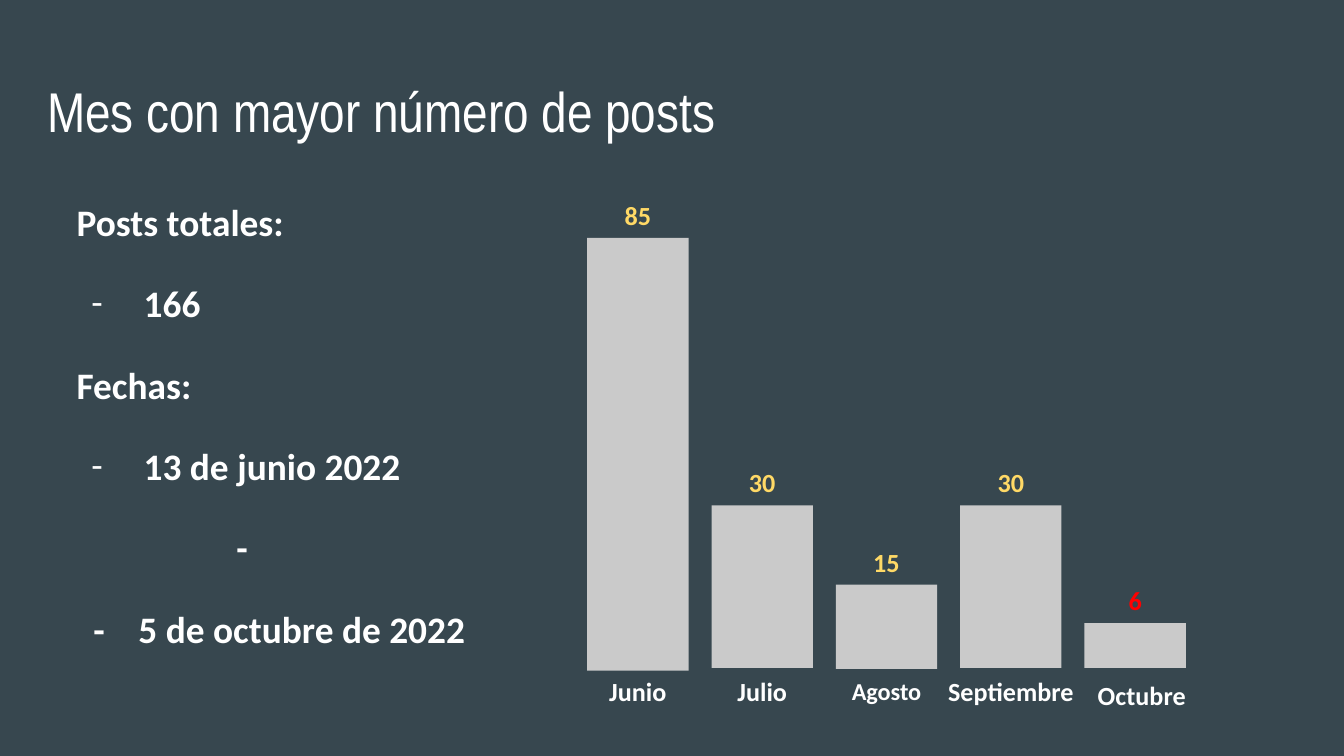
import pptx
import pptx.util
import pptx.dml.color
import pptx.enum.shapes
import pptx.enum.text
import pptx.oxml
import pptx.oxml.ns

Pt = pptx.util.Pt
RGB = pptx.dml.color.RGBColor
ALIGN = pptx.enum.text.PP_ALIGN
ANCHOR = pptx.enum.text.MSO_ANCHOR

SLATE = RGB(0x37, 0x47, 0x4F)
WHITE = RGB(0xFF, 0xFF, 0xFF)
GOLD = RGB(0xFF, 0xD9, 0x66)
RED = RGB(0xFF, 0x00, 0x00)
GRAY = RGB(0xCA, 0xCA, 0xCA)

LEFT, PITCH, WIDTH = 314.6, 66.6, 54.3
BASE, TALL, WIDE = 357.9, 24.5, 87.8

BARS = [
    ("Junio", "85", 127.4, 231.9),
    ("Julio", "30", 270.7, 87.2),
    ("Agosto", "15", 313.2, 45.2),
    ("Septiembre", "30", 270.7, 87.2),
    ("Octubre", "6", 333.8, 24),
]
ITEMS = [
    ("Posts totales:", 0, 0, False),
    ("166", 36, -28, True),
    ("Fechas:", 0, 0, False),
    ("13 de junio 2022", 36, -28, True),
    ("-", 85.6, 0, False),
    ("-\t5 de octubre de 2022", 33.2, -24.1, False),
]


class Deck:
    def __init__(self):
        self.file = pptx.Presentation()
        self.file.slide_width = Pt(720)
        self.file.slide_height = Pt(405)
        self.slide = self.file.slides.add_slide(self.file.slide_layouts[1])
        fill = self.slide.background.fill
        fill.solid()
        fill.fore_color.rgb = SLATE

    def place(self, shape, x, y, w, h, anchor):
        shape.left, shape.top = Pt(x), Pt(y)
        shape.width, shape.height = Pt(w), Pt(h)
        frame = shape.text_frame
        frame.auto_size = pptx.enum.text.MSO_AUTO_SIZE.NONE
        frame.word_wrap = True
        frame.vertical_anchor = anchor
        frame.margin_left = frame.margin_right = Pt(7.2)
        frame.margin_top = frame.margin_bottom = Pt(7.2)
        return frame

    def style(self, para, size, color, bold=True, name="Calibri", align=ALIGN.LEFT):
        para.alignment = align
        font = para.font
        font.name, font.size, font.bold = name, Pt(size), bold
        font.color.rgb = color

    def title(self, text, x, y, w, h):
        frame = self.place(self.slide.shapes.title, x, y, w, h, ANCHOR.TOP)
        frame.text = text
        self.style(frame.paragraphs[0], 30, WHITE, False, "Arial Narrow")

    def mark(self, para, left, hang, dash):
        props = para._p.get_or_add_pPr()
        props.set("marL", str(Pt(left)))
        props.set("indent", str(Pt(hang)))
        space = pptx.oxml.ns.nsdecls("a")
        if dash:
            tags = [
                f'<a:buClr {space}><a:srgbClr val="{WHITE}"/></a:buClr>',
                f'<a:buFont {space} typeface="Calibri"/>',
                f'<a:buChar {space} char="-"/>',
            ]
        else:
            tags = [f"<a:buNone {space}/>"]
        rest = props.find(pptx.oxml.ns.qn("a:defRPr"))
        for tag in tags:
            rest.addprevious(pptx.oxml.parse_xml(tag))

    def list(self, items, x, y, w, h):
        frame = self.place(self.slide.placeholders[1], x, y, w, h, ANCHOR.TOP)
        frame.text = "\n".join(item[0] for item in items)
        for row, (para, item) in enumerate(zip(frame.paragraphs, items)):
            para.line_spacing = 1.15
            para.space_before = Pt(16 if row else 0)
            self.style(para, 20, WHITE)
            self.mark(para, *item[1:])

    def label(self, text, x, y, w, color, size=14, align=ALIGN.CENTER):
        box = self.slide.shapes.add_textbox(Pt(x), Pt(y), Pt(w), Pt(TALL))
        frame = self.place(box, x, y, w, TALL, ANCHOR.MIDDLE)
        frame.text = text
        self.style(frame.paragraphs[0], size, color, align=align)

    def bar(self, x, y, w, h):
        kind = pptx.enum.shapes.MSO_SHAPE.RECTANGLE
        rect = self.slide.shapes.add_shape(kind, Pt(x), Pt(y), Pt(w), Pt(h))
        rect.shadow.inherit = False
        rect.fill.solid()
        rect.fill.fore_color.rgb = GRAY
        rect.line.fill.background()

    def save(self):
        self.file.save("out.pptx")


def main():
    deck = Deck()
    deck.title("Mes con mayor número de posts", 18, 33.8, 589, 45.4)
    deck.list(ITEMS, 33.8, 95.8, 260.6, 139.7)
    for col, (month, count, top, high) in enumerate(BARS):
        x = LEFT + col * PITCH
        deck.bar(x, top, WIDTH, high)
        deck.label(count, x, top - TALL, WIDTH, RED if month == "Octubre" else GOLD)
        if month == "Octubre":
            deck.label(month, x, 360, WIDE, WHITE, align=ALIGN.LEFT)
        else:
            wide = WIDE if month == "Septiembre" else WIDTH
            size = 13 if month == "Agosto" else 14
            deck.label(month, x + (WIDTH - wide) / 2, BASE, wide, WHITE, size)
    deck.save()


if __name__ == "__main__":
    main()
